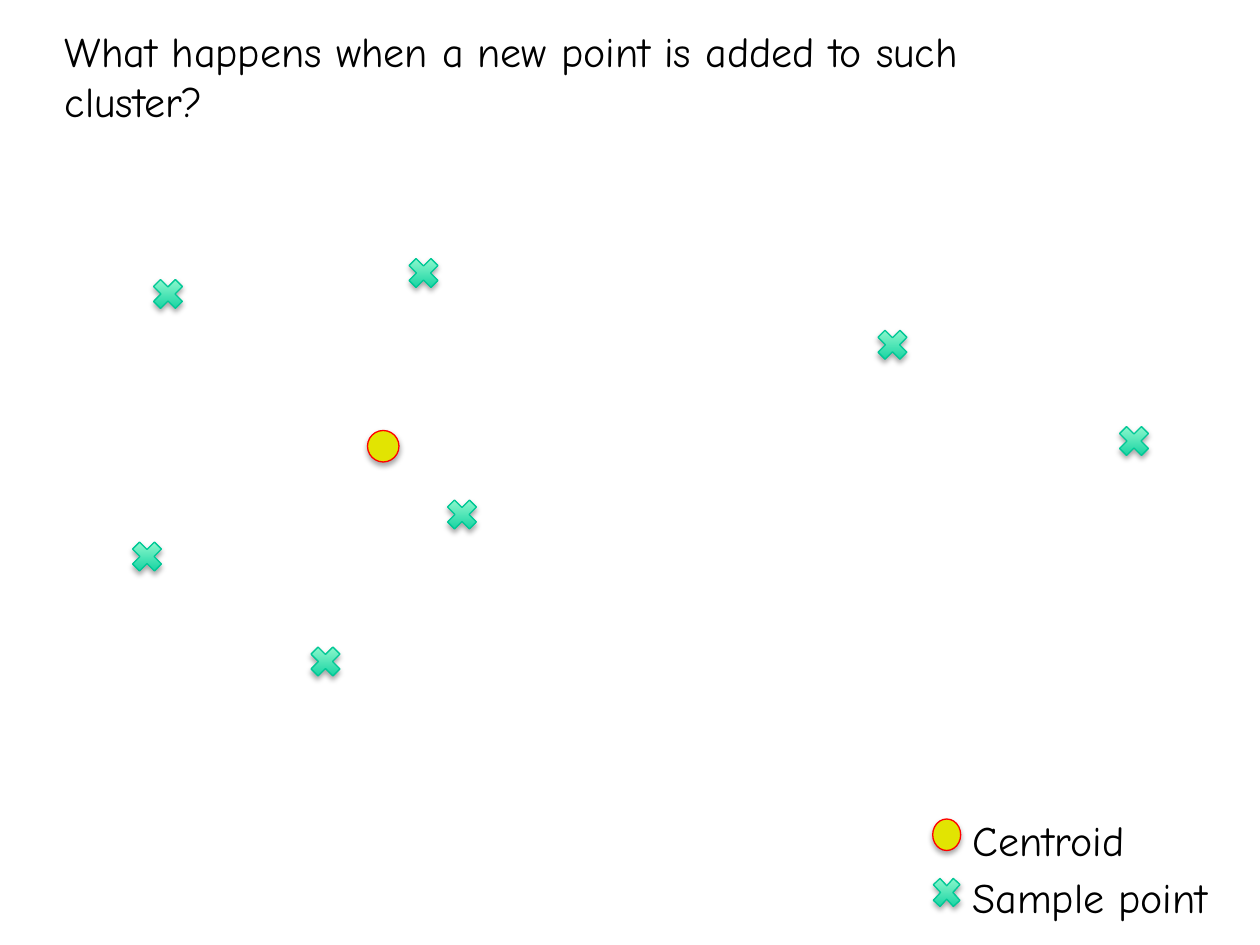
from dataclasses import dataclass

from lxml.etree import SubElement
from pptx import Presentation
from pptx.dml.color import RGBColor as Rgb
from pptx.enum.shapes import MSO_SHAPE as Kind
from pptx.enum.text import MSO_AUTO_SIZE as Fit
from pptx.oxml.ns import qn
from pptx.util import Pt


@dataclass(frozen=True)
class Theme:
    font: str = "Comic Neue"
    size: float = 24
    ink: str = "000000"
    deep: str = "00CC99"
    pale: str = "A5FFD6"
    edge: str = "00C896"
    gold: str = "E2E402"
    red: str = "FF0000"
    line: float = 0.75


THEME = Theme()
SAMPLES = [(498, 185), (252, 282), (174, 366), (230, 144),
           (84, 156), (72, 306), (636, 240)]


def rgb(code):
    return Rgb.from_string(code)


def emu(box):
    return [Pt(n) for n in box]


def add_text(shapes, box, lines, size=THEME.size, color=THEME.ink, gap=0):
    """Add a text box with one paragraph per line, gap points apart."""
    frame = shapes.add_textbox(*emu(box)).text_frame
    frame.word_wrap = True
    frame.auto_size = Fit.SHAPE_TO_FIT_TEXT
    for i, line in enumerate(lines):
        para = frame.paragraphs[0] if i == 0 else frame.add_paragraph()
        if i:
            para.space_before = Pt(gap)
        run = para.add_run()
        run.text = line
        run.font.name = THEME.font
        run.font.size = Pt(size)
        run.font.color.rgb = rgb(color)


def add_shade(shape):
    """Give the shape a soft shadow that falls straight down."""
    shape.shadow.inherit = False
    effects = shape._element.spPr.find(qn("a:effectLst"))
    shade = SubElement(effects, qn("a:outerShdw"), blurRad=str(Pt(3.1)),
                       dist=str(Pt(1.8)), dir="5400000", rotWithShape="0")
    tint = SubElement(shade, qn("a:srgbClr"), val=THEME.ink)
    SubElement(tint, qn("a:alpha"), val="35000")


def add_mark(shapes, kind, box, edge):
    mark = shapes.add_shape(kind, *emu(box))
    mark.line.color.rgb = rgb(edge)
    mark.line.width = Pt(THEME.line)
    add_shade(mark)
    return mark


def add_sample(shapes, box):
    fill = add_mark(shapes, Kind.MATH_MULTIPLY, box, THEME.edge).fill
    fill.gradient()
    fill.gradient_angle = 90
    for stop, code in zip(fill.gradient_stops, (THEME.deep, THEME.pale)):
        stop.color.rgb = rgb(code)


def add_center(shapes, box):
    fill = add_mark(shapes, Kind.OVAL, box, THEME.red).fill
    fill.solid()
    fill.fore_color.rgb = rgb(THEME.gold)


def add_plot(shapes, box):
    left, top = box[:2]
    for x, y in SAMPLES:
        add_sample(shapes, (left + x, top + y, 24, 24))
    add_center(shapes, (left + 210, top + 246, 18, 18))


def add_legend(shapes, box):
    left, top, width, height = box
    group = shapes.add_group_shape().shapes
    add_center(group, (left + 3, top + 6, 16, 18))
    add_sample(group, (left, top + 36, 22, 24))
    add_text(group, (left + 18.5, top, width - 18.5, height),
             ["Centroid", "Sample point"], gap=3.5)


def main():
    deck = Presentation()
    deck.slide_width, deck.slide_height = Pt(720), Pt(540)
    shapes = deck.slides.add_slide(deck.slide_layouts[6]).shapes
    add_plot(shapes, (0, 0, 720, 540))
    add_legend(shapes, (530, 462, 180, 69))
    add_text(shapes, (30, 11, 558, 65.5),
             ["What happens when a new point is added to such cluster?"])
    deck.save("out.pptx")


if __name__ == "__main__":
    main()
